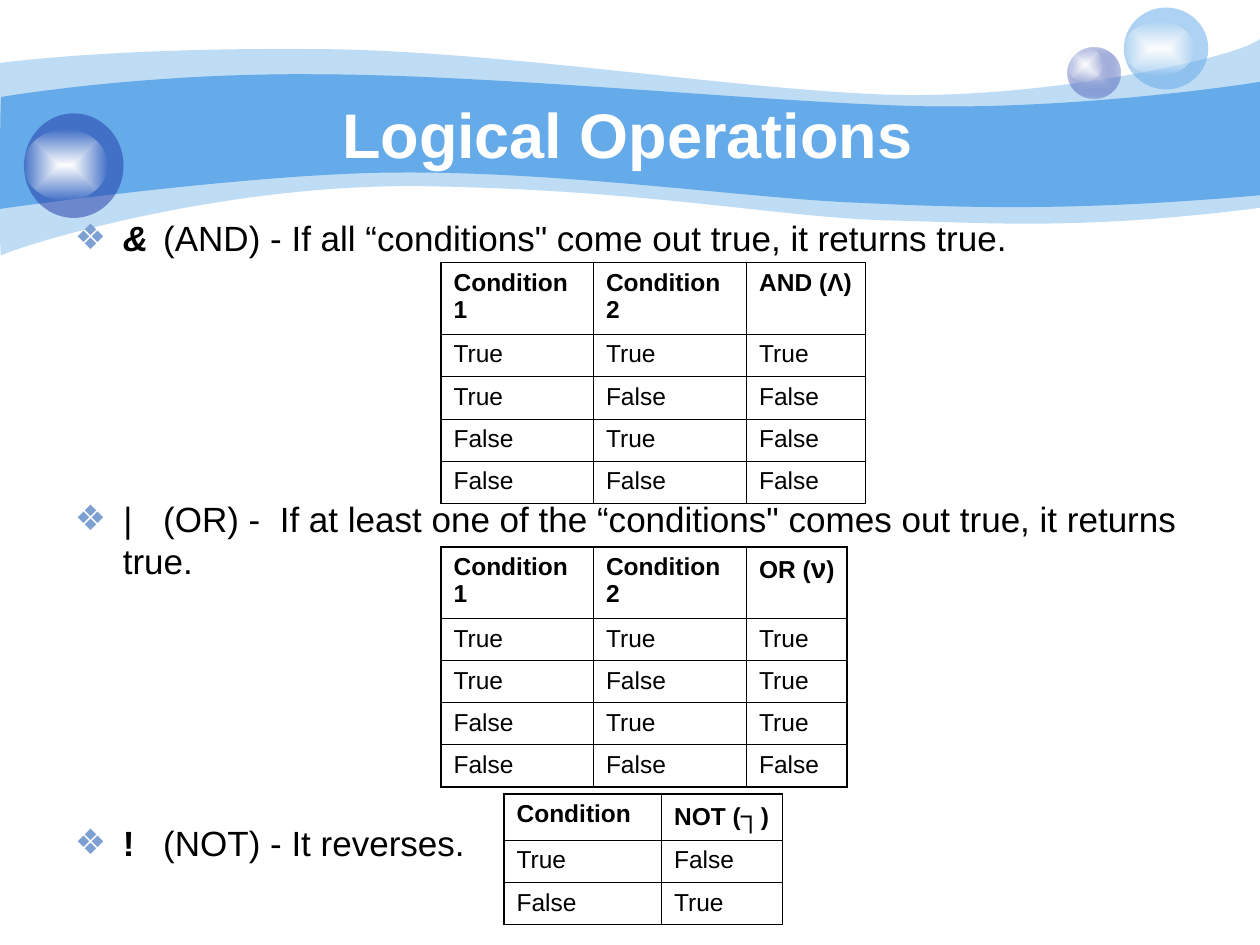
import pptx
import pptx.dml.color
import pptx.enum.shapes
import pptx.enum.text
import pptx.oxml
import pptx.util
from lxml import etree
from pptx.oxml.ns import qn

BLUE = "65AAE9"
NAVY = "233DA9"
BLACK = "000000"
WHITE = "FFFFFF"
GLOW = [(0, WHITE, 100), (100, WHITE, 0)]

OUTER_WAVE = [
    (0, 0.5),
    (0.24, 0.47, 1.07, 0.38, 2.47, 0.39), (3.86, 0.39, 5.75, 0.7, 6.99, 0.75),
    (8.22, 0.8, 9.8, 0.47, 10, 0.31), (10, 1.65),
    (8.58, 1.83, 7.87, 1.77, 7.05, 1.75), (6.22, 1.73, 5.15, 1.51, 3.43, 1.48),
    (1.72, 1.44, 0.04, 1.99, 0.01, 2.03), (-0.01, 2.08, 0, 0.75, 0, 0.5),
]
INNER_WAVE = [
    (0.01, 0.77),
    (0.02, 0.77, 1.1, 0.58, 2.48, 0.59), (3.86, 0.59, 5.95, 0.8, 7.18, 0.84),
    (8.41, 0.88, 9.76, 0.69, 10, 0.65), (10, 1.55),
    (8.53, 1.68, 7.65, 1.65, 6.82, 1.61), (5.99, 1.58, 4.47, 1.36, 3.17, 1.37),
    (2.03, 1.37, -0.02, 1.66, -0.01, 1.66), (0, 1.66, 0, 0.77, 0.01, 0.77),
]
RULES = [
    ("&", "(AND) - If all “conditions\" come out true, it returns true.", True, True),
    ("|", "(OR) -  If at least one of the “conditions\" comes out true, it returns true.", False, True),
    ("!", "(NOT) - It reverses.", True, False),
]
PAIRS = [("True", "True"), ("True", "False"), ("False", "True"), ("False", "False")]


def grid(*cells):
    return [pptx.util.Inches(cell / 10) for cell in cells]


def color(code):
    return pptx.dml.color.RGBColor.from_string(code)


def style(font, size, code=BLACK, bold=False, italic=False):
    font.name = "Arial"
    font.size = pptx.util.Pt(size)
    font.bold = bold
    font.italic = italic
    font.color.rgb = color(code)


def paint(shape, code, opacity=100):
    shape.shadow.inherit = False
    shape.line.fill.background()
    shape.fill.solid()
    shape.fill.fore_color.rgb = color(code)
    if opacity < 100:
        tint = shape.element.spPr.find(qn("a:solidFill"))[0]
        etree.SubElement(tint, qn("a:alpha"), val=str(opacity * 1000))


def paint_gradient(shape, stops):
    paint(shape, WHITE)
    marks = "".join(
        f'<a:gs pos="{place * 1000}"><a:srgbClr val="{code}">'
        f'<a:alpha val="{opacity * 1000}"/></a:srgbClr></a:gs>'
        for place, code, opacity in stops)
    gradient = pptx.oxml.parse_xml(
        '<a:gradFill xmlns:a="http://schemas.openxmlformats.org/drawingml/2006/main">'
        f'<a:gsLst>{marks}</a:gsLst><a:path path="rect">'
        '<a:fillToRect l="50000" t="50000" r="50000" b="50000"/></a:path></a:gradFill>')
    solid = shape.element.spPr.find(qn("a:solidFill"))
    shape.element.spPr.replace(solid, gradient)


def bend_lines(shape, segments):
    lines = iter(list(shape.element.iter(qn("a:lnTo"))))
    for segment in segments:
        first = next(lines)
        if len(segment) == 2:
            continue
        curve = etree.Element(qn("a:cubicBezTo"))
        first.addprevious(curve)
        for line in (first, next(lines), next(lines)):
            curve.append(line[0])
            line.getparent().remove(line)


def add_wave(page, segments, opacity=100):
    points = [(round(segment[i] * 100), round(segment[i + 1] * 100))
              for segment in segments for i in range(0, len(segment), 2)]
    builder = page.shapes.build_freeform(*points[0], scale=pptx.util.Inches(0.01))
    builder.add_line_segments(points[1:], close=True)
    wave = builder.convert_to_shape()
    bend_lines(wave, segments[1:])
    paint(wave, BLUE, opacity)


def add_ball(page, *place):
    return page.shapes.add_shape(pptx.enum.shapes.MSO_SHAPE.OVAL, *grid(*place))


def add_background(page):
    add_wave(page, OUTER_WAVE, 41)
    add_wave(page, INNER_WAVE)
    paint_gradient(add_ball(page, 84.7, 3.8, 4.2, 4), [(0, "C7CEE9", 100), (100, NAVY, 31)])
    paint_gradient(add_ball(page, 84.7, 3.8, 2.8, 2.7), GLOW)
    paint(add_ball(page, 89.2, 0.6, 6.7, 6.5), BLUE, 53)
    paint_gradient(add_ball(page, 89.2, 1.7, 5.6, 4.3), GLOW)
    paint(add_ball(page, 1.9, 9, 7.9, 8.3), NAVY, 53)
    paint_gradient(add_ball(page, 1.9, 10.3, 6.6, 5.6), GLOW)


def place_text(page, box, *place):
    box.left, box.top, box.width, box.height = grid(*place)
    box.text_frame.word_wrap = True
    box.text_frame.auto_size = pptx.enum.text.MSO_AUTO_SIZE.NONE
    page.shapes.element.append(box.element)
    return box.text_frame


def add_title(page):
    frame = place_text(page, page.shapes.title, 9.4, 7.5, 80.8, 6.2)
    frame.text = "Logical Operations"
    frame.vertical_anchor = pptx.enum.text.MSO_ANCHOR.MIDDLE
    para = frame.paragraphs[0]
    para.alignment = pptx.enum.text.PP_ALIGN.CENTER
    style(para.runs[0].font, 36, WHITE, bold=True)


def add_bullet(para):
    indent, tab = grid(3.8, 7)
    props = para._p.get_or_add_pPr()
    props.set("marL", str(indent))
    props.set("indent", str(-indent))
    tint = etree.SubElement(props, qn("a:buClr"))
    etree.SubElement(tint, qn("a:srgbClr"), val="7DA0D3")
    etree.SubElement(props, qn("a:buChar"), char="❖")
    tabs = etree.SubElement(props, qn("a:tabLst"))
    etree.SubElement(tabs, qn("a:tab"), pos=str(tab), algn="l")


def add_rules(page):
    frame = place_text(page, page.placeholders[1], 4.95, 16.65, 94, 53.3)
    for index, (symbol, meaning, bold, italic) in enumerate(RULES):
        para = frame.add_paragraph() if index else frame.paragraphs[0]
        add_bullet(para)
        para.space_before = pptx.util.Pt(137 if index else 0)
        for text, heavy, slanted in [(symbol, bold, italic), ("\t" + meaning, False, False)]:
            span = para.add_run()
            span.text = text
            style(span.font, 20, BLACK, heavy, slanted)


def add_borders(cell, widths):
    props = cell._tc.get_or_add_tcPr()
    for side, width in widths.items():
        line = etree.SubElement(props, qn("a:ln" + side), w=str(pptx.util.Pt(width)))
        solid = etree.SubElement(line, qn("a:solidFill"))
        etree.SubElement(solid, qn("a:srgbClr"), val=BLACK)
    cell.fill.background()


def fill_cell(cell, text, bold):
    para = cell.text_frame.paragraphs[0]
    for index, part in enumerate(text.split("|")):
        span = para.add_run()
        span.text = part
        style(span.font, 16 if index % 2 else 14, BLACK, bold)


def add_truth_table(page, left, top, columns, header_height, row_height, rows):
    heights = [header_height] + [row_height] * (len(rows) - 1)
    frame = page.shapes.add_table(len(rows), len(columns),
                                  *grid(left, top, sum(columns), sum(heights)))
    table = frame.table
    table.first_row = table.horz_banding = False
    for column, width in zip(table.columns, grid(*columns)):
        column.width = width
    for row, height in zip(table.rows, grid(*heights)):
        row.height = height
    for y, texts in enumerate(rows):
        for x, text in enumerate(texts):
            cell = table.cell(y, x)
            fill_cell(cell, text, bold=y == 0)
            outer = {"L": x == 0, "R": x == len(columns) - 1,
                     "T": y == 0, "B": y == len(rows) - 1}
            add_borders(cell, {side: 1.08 if edge else 0.45 for side, edge in outer.items()})


def binary_rows(heading, results):
    return [("Condition1", "Condition2", heading)] + [
        (*pair, result) for pair, result in zip(PAIRS, results)]


def main():
    deck = pptx.Presentation()
    deck.slide_width, deck.slide_height = grid(100, 75)
    page = deck.slides.add_slide(deck.slide_layouts[1])
    add_background(page)
    add_title(page)
    add_rules(page)
    add_truth_table(page, 35, 20.83, [12.1, 12.15, 9.43], 5.7, 3.36,
                    binary_rows("AND (Λ)", ["True", "False", "False", "False"]))
    add_truth_table(page, 35, 43.4, [12.1, 12.15, 8], 5.7, 3.34,
                    binary_rows("OR (|ν|)", ["True", "True", "True", "False"]))
    add_truth_table(page, 40, 63, [12.5, 9.6], 3.7, 3.34,
                    [("Condition", "NOT (|┐|)"), ("True", "False"), ("False", "True")])
    deck.save("out.pptx")


if __name__ == "__main__":
    main()
